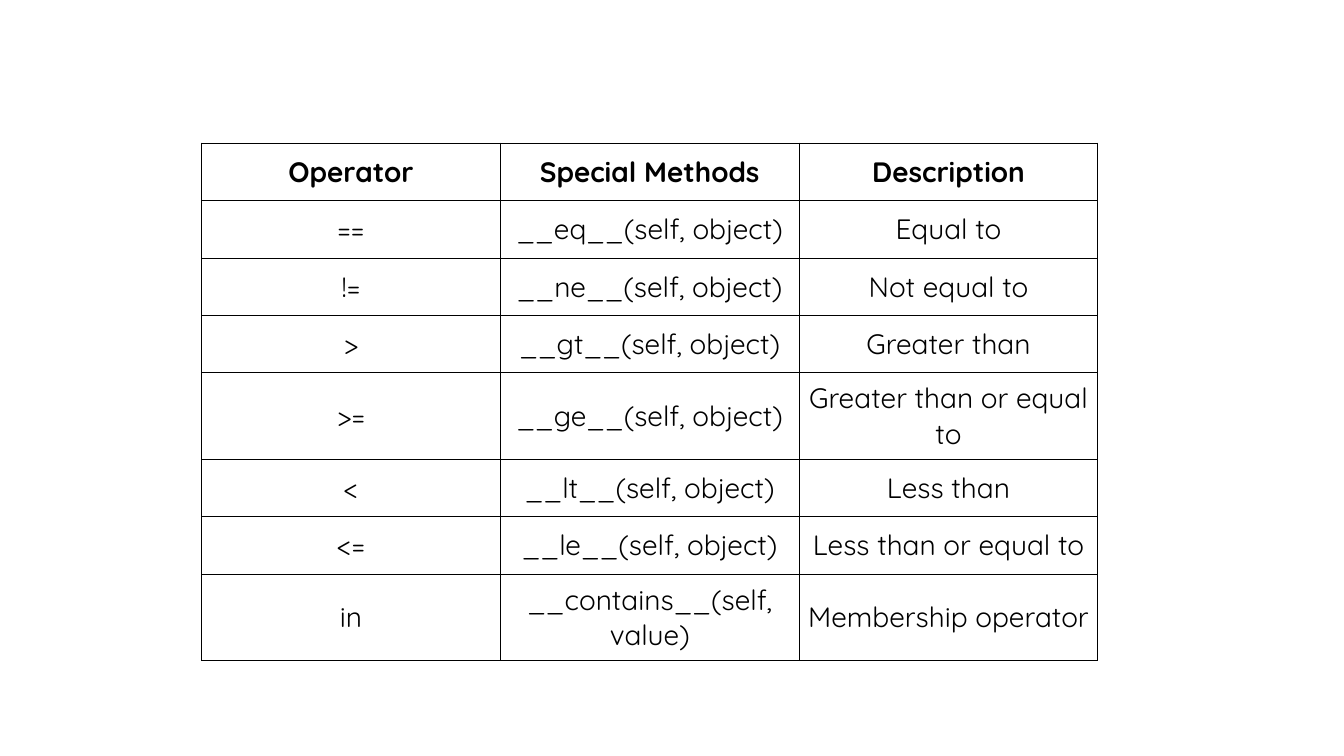
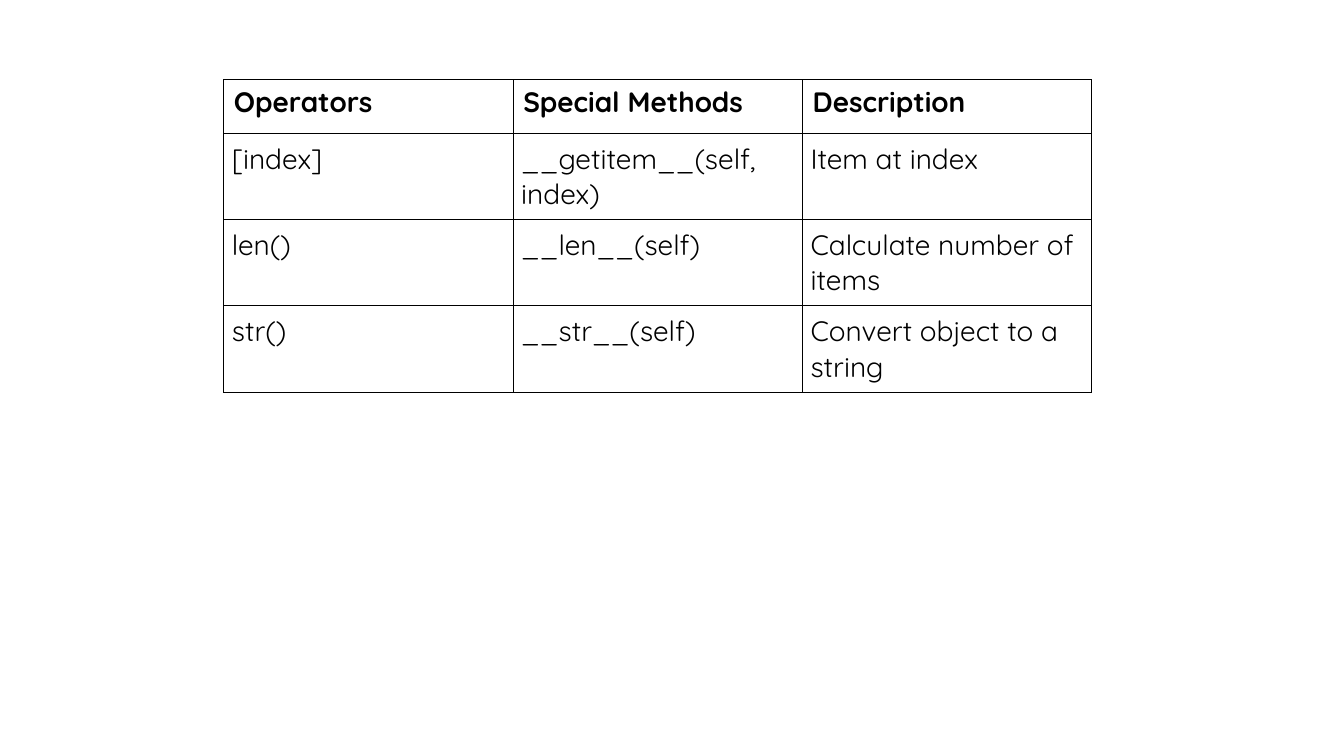
from dataclasses import dataclass

from lxml.etree import SubElement
from pptx import Presentation
from pptx.dml.color import RGBColor
from pptx.enum.text import MSO_ANCHOR, PP_ALIGN
from pptx.oxml.ns import qn
from pptx.util import Inches, Pt

# Content
COMPARISONS = [
    ("Operator", "Special Methods", "Description"),
    ("==", "__eq__(self, object)", "Equal to"),
    ("!=", "__ne__(self, object)", "Not equal to"),
    (">", "__gt__(self, object)", "Greater than"),
    (">=", "__ge__(self, object)", "Greater than or equal to"),
    ("<", "__lt__(self, object)", "Less than"),
    ("<=", "__le__(self, object)", "Less than or equal to"),
    ("in", "__contains__(self, value)", "Membership operator"),
]
CONTAINERS = [
    ("Operators", "Special Methods", "Description"),
    ("[index]", "__getitem__(self, index)", "Item at index"),
    ("len()", "__len__(self)", "Calculate number of items"),
    ("str()", "__str__(self)", "Convert object to a string"),
]
PAGES = [
    dict(rows=COMPARISONS, left=2, top=1.42, width=8.89, header_height=0.57,
         row_height=0.57, align=PP_ALIGN.CENTER, anchor=MSO_ANCHOR.MIDDLE),
    dict(rows=CONTAINERS, left=2.22, top=0.79, width=8.61, header_height=0.53,
         row_height=0.62, align=PP_ALIGN.LEFT, anchor=MSO_ANCHOR.TOP),
]


@dataclass(frozen=True)
class Theme:
    font: str = "Quicksand"
    size: float = 20
    ink: str = "000000"
    border: float = 0.75
    inset: float = 0.08


THEME = Theme()


def add_borders(cell):
    """Draw a thin line on all four sides of a cell."""
    properties = cell._tc.get_or_add_tcPr()
    for position, side in enumerate(("lnL", "lnR", "lnT", "lnB")):
        line = SubElement(properties, qn(f"a:{side}"), w=str(Pt(THEME.border)))
        fill = SubElement(line, qn("a:solidFill"))
        SubElement(fill, qn("a:srgbClr"), val=THEME.ink)
        properties.insert(position, line)


def fill_cell(cell, text, is_header, align, anchor):
    cell.fill.background()
    add_borders(cell)
    cell.vertical_anchor = anchor
    if not is_header:
        cell.margin_left = cell.margin_right = Inches(THEME.inset)
        cell.margin_top = cell.margin_bottom = Inches(THEME.inset)
    para = cell.text_frame.paragraphs[0]
    para.alignment = align
    span = para.add_run()
    span.text = text
    span.font.name = THEME.font
    span.font.size = Pt(THEME.size)
    span.font.bold = is_header
    span.font.color.rgb = RGBColor.from_string(THEME.ink)


def add_method_table(page, rows, left, top, width, header_height, row_height,
                     align, anchor):
    heights = [header_height] + [row_height] * (len(rows) - 1)
    table = page.shapes.add_table(
        len(rows), len(rows[0]), Inches(left), Inches(top),
        Inches(width), Inches(sum(heights))).table
    table.first_row = table.horz_banding = False
    for row, height, texts in zip(table.rows, heights, rows):
        row.height = Inches(height)
        for cell, text in zip(row.cells, texts):
            fill_cell(cell, text, texts is rows[0], align, anchor)


def main():
    deck = Presentation()
    deck.slide_width, deck.slide_height = Inches(13.33), Inches(7.5)
    blank = deck.slide_layouts[6]
    for content in PAGES:
        add_method_table(deck.slides.add_slide(blank), **content)
    deck.save("out.pptx")


if __name__ == "__main__":
    main()
